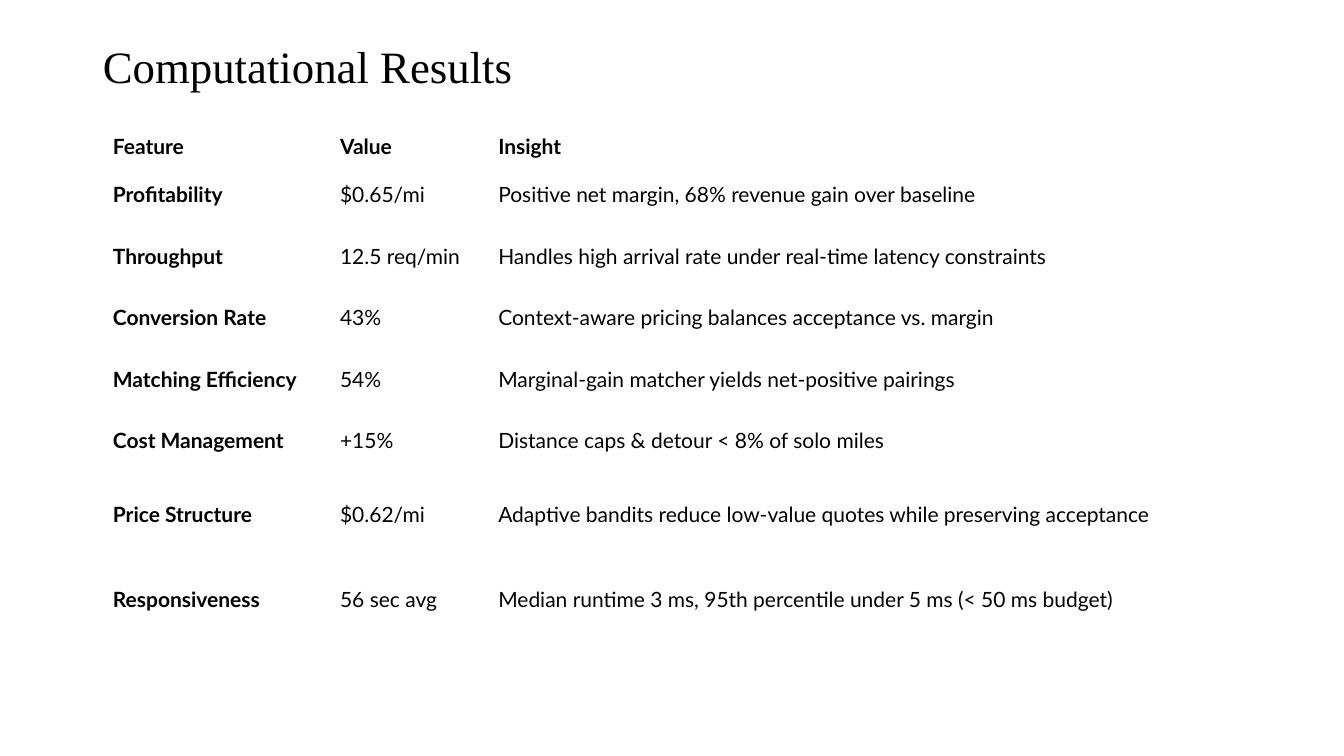
from pptx import Presentation
from pptx.dml.color import RGBColor
from pptx.enum.text import MSO_ANCHOR, PP_ALIGN
from pptx.util import Pt

TITLE = "Computational Results"
RESULTS = [
    ("Feature", "Value", "Insight"),
    ("Profitability", "$0.65/mi", "Positive net margin, 68% revenue gain over baseline"),
    ("Throughput", "12.5 req/min", "Handles high arrival rate under real-time latency constraints"),
    ("Conversion Rate", "43%", "Context-aware pricing balances acceptance vs. margin"),
    ("Matching Efficiency", "54%", "Marginal-gain matcher yields net-positive pairings"),
    ("Cost Management", "+15%", "Distance caps & detour < 8% of solo miles"),
    ("Price Structure", "$0.62/mi", "Adaptive bandits reduce low-value quotes while preserving acceptance"),
    ("Responsiveness", "56 sec avg", "Median runtime 3 ms, 95th percentile under 5 ms (< 50 ms budget)"),
]
COLUMN_WIDTHS = [162.3, 113, 502.7]
ROW_HEIGHTS = [25.2] + [43.92] * 5 + [61.2] * 2
COLORS = {"text": "000000", "background": "FFFFFF"}


def add_text(paragraph, text, font_name, size, bold=False):
    run = paragraph.add_run()
    run.text = text
    run.font.name = font_name
    run.font.size = Pt(size)
    run.font.bold = bold
    run.font.color.rgb = RGBColor.from_string(COLORS["text"])


def add_title(slide):
    title = slide.shapes.title
    title.left, title.top, title.width, title.height = Pt(66.24), Pt(28.8), Pt(828), Pt(40.32)
    title.text_frame.vertical_anchor = MSO_ANCHOR.MIDDLE
    heading = title.text_frame.paragraphs[0]
    heading.alignment = PP_ALIGN.LEFT
    heading.line_spacing = 0.9
    add_text(heading, TITLE, "Times New Roman", 32)


def add_results(slide):
    results = slide.shapes.add_table(
        len(RESULTS), len(COLUMN_WIDTHS), Pt(74.9), Pt(91.8),
        Pt(sum(COLUMN_WIDTHS)), Pt(sum(ROW_HEIGHTS)),
    ).table
    results.first_row = False
    results.horz_banding = False
    for column, width in zip(results.columns, COLUMN_WIDTHS):
        column.width = Pt(width)
    for row_index, (row, height) in enumerate(zip(results.rows, ROW_HEIGHTS)):
        row.height = Pt(height)
        for column_index, cell in enumerate(row.cells):
            cell.fill.background()
            cell.vertical_anchor = MSO_ANCHOR.MIDDLE
            cell.margin_left = cell.margin_right = Pt(5.76)
            cell.margin_top = cell.margin_bottom = Pt(2.88)
            add_text(
                cell.text_frame.paragraphs[0], RESULTS[row_index][column_index],
                "Lato", 15, bold=row_index == 0 or column_index == 0,
            )


def main():
    deck = Presentation()
    deck.slide_width, deck.slide_height = Pt(960), Pt(540)
    slide = deck.slides.add_slide(deck.slide_layouts[5])
    slide.background.fill.solid()
    slide.background.fill.fore_color.rgb = RGBColor.from_string(COLORS["background"])
    add_title(slide)
    add_results(slide)
    deck.save("out.pptx")


if __name__ == "__main__":
    main()
